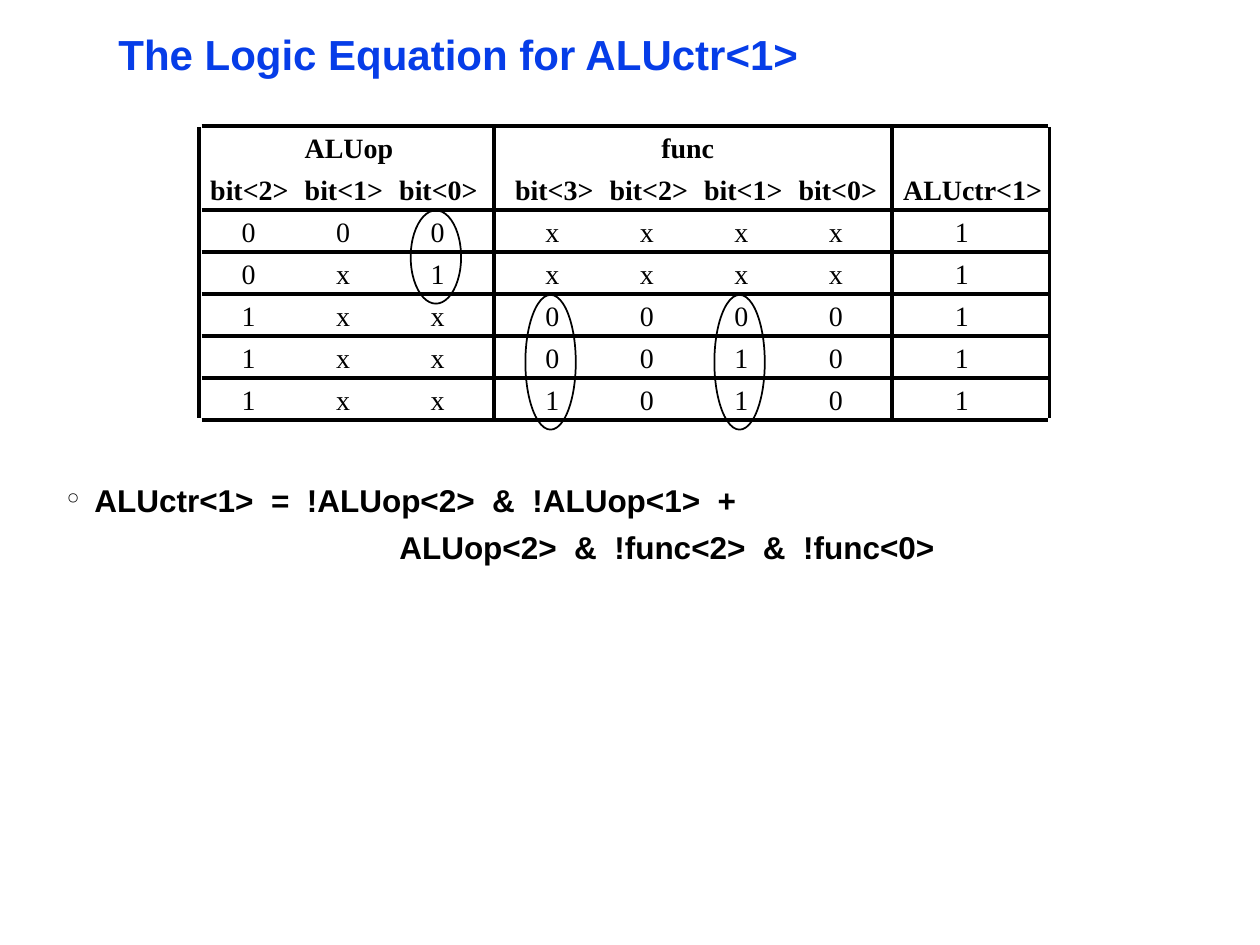
"""Build the slide on the logic equation for ALUctr<1>."""
import dataclasses

import lxml.etree
import pptx
import pptx.dml.color
import pptx.enum.shapes
import pptx.oxml.ns
import pptx.shapes.shapetree
import pptx.text.text
import pptx.util

Inches = pptx.util.Inches
Pt = pptx.util.Pt
Shapes = pptx.shapes.shapetree.SlideShapes

BLACK = pptx.dml.color.RGBColor(0x00, 0x00, 0x00)
BLUE = pptx.dml.color.RGBColor(0x06, 0x3D, 0xE8)
SANS = "Arial"
SERIF = "Times New Roman"

ROW_HEIGHT = 1 / 3
BIT_PITCH = 0.75
RULE_TOP = 1.0
LABEL_TOP = 0.99
ALUOP_LEFT = 1.57
FUNC_LEFT = 3.99


@dataclasses.dataclass(frozen=True)
class Column:
    heading: str
    left: float
    width: float
    value_left: float


@dataclasses.dataclass(frozen=True)
class Ring:
    left: float
    top: float
    height: float


COLUMNS = [
    *(Column(f"bit<{2 - i}>", ALUOP_LEFT + i * BIT_PITCH, 0.82,
             ALUOP_LEFT + 0.25 + i * BIT_PITCH) for i in range(3)),
    *(Column(f"bit<{3 - i}>", FUNC_LEFT + i * BIT_PITCH, 0.82,
             FUNC_LEFT + 0.24 + i * BIT_PITCH) for i in range(4)),
    Column("ALUctr<1>", 7.07, 1.3, 7.48),
]
TRUTH_ROWS = ["000xxxx1", "0x1xxxx1", "1xx00001", "1xx00101", "1xx10101"]
RULED_ROWS = [0, 2, 3, 4, 5, 6, 7]
DIVIDERS = [1.58, 3.92, 7.08, 8.33]
RINGS = [Ring(3.26, 1.67, 0.74), Ring(4.17, 2.34, 1.07), Ring(5.67, 2.34, 1.07)]


def add_frame(shapes: Shapes, left: float, top: float, width: float, height: float,
              side: float, edge: float, wrap: bool) -> pptx.text.text.TextFrame:
    """Add an empty text frame with the given insets."""
    frame = shapes.add_textbox(Inches(left), Inches(top), Inches(width), Inches(height)).text_frame
    frame.word_wrap = wrap
    frame.margin_left = frame.margin_right = Inches(side)
    frame.margin_top = frame.margin_bottom = Inches(edge)
    return frame


def write(paragraph, words: str, size: float, face: str, bold: bool,
          color: pptx.dml.color.RGBColor = BLACK) -> None:
    """Append one formatted run."""
    run = paragraph.add_run()
    run.text = words
    run.font.size = Pt(size)
    run.font.name = face
    run.font.bold = bold
    run.font.color.rgb = color


def add_label(shapes: Shapes, words: str, left: float, row: int, width: float, bold: bool) -> None:
    """Place a label in a row of the truth table."""
    frame = add_frame(shapes, left, LABEL_TOP + row * ROW_HEIGHT, width, 0.36, 0.1, 0.05, False)
    write(frame.paragraphs[0], words, 16, SERIF, bold)


def add_rule(shapes: Shapes, x1: float, y1: float, x2: float, y2: float) -> None:
    """Draw a straight table rule."""
    rule = shapes.add_connector(pptx.enum.shapes.MSO_CONNECTOR.STRAIGHT,
                                Inches(x1), Inches(y1), Inches(x2), Inches(y2))
    rule.line.color.rgb = BLACK
    rule.line.width = Pt(2)
    lxml.etree.SubElement(rule._element.spPr, pptx.oxml.ns.qn("a:effectLst"))


def add_ring(shapes: Shapes, ring: Ring) -> None:
    """Circle the differing bits of a column."""
    oval = shapes.add_shape(pptx.enum.shapes.MSO_SHAPE.OVAL, Inches(ring.left),
                            Inches(ring.top), Inches(0.4), Inches(ring.height))
    oval.shadow.inherit = False
    oval.fill.background()
    oval.line.color.rgb = BLACK
    oval.line.width = Pt(1)


def add_truth_table(shapes: Shapes) -> None:
    """Draw the headings, values, rules and rings."""
    add_label(shapes, "ALUop", 2.32, 0, 0.9, True)
    add_label(shapes, "func", 5.15, 0, 0.62, True)
    for index, column in enumerate(COLUMNS):
        add_label(shapes, column.heading, column.left, 1, column.width, True)
        for row, values in enumerate(TRUTH_ROWS, start=2):
            add_label(shapes, values[index], column.value_left, row, 0.31, False)
    for row in RULED_ROWS:
        y = RULE_TOP + row * ROW_HEIGHT
        add_rule(shapes, 1.6, y, 8.32, y)
    for x in DIVIDERS:
        add_rule(shapes, x, 1.01, x, 3.32)
    for ring in RINGS:
        add_ring(shapes, ring)


def add_equation(shapes: Shapes) -> None:
    """Write the bulleted equation and its indented second line."""
    qn = pptx.oxml.ns.qn
    frame = add_frame(shapes, 0.46, 3.83, 8.96, 0.69, 0.07, 0.03, True)
    first = frame.paragraphs[0]
    layout = first._p.get_or_add_pPr()
    layout.set("marL", str(Inches(0.22)))
    layout.set("indent", str(Inches(-0.22)))
    tint = lxml.etree.SubElement(layout, qn("a:buClr"))
    lxml.etree.SubElement(tint, qn("a:srgbClr"), val=str(BLACK))
    lxml.etree.SubElement(layout, qn("a:buChar"), char="°")
    first.line_spacing = 0.85
    write(first, "ALUctr<1>  =  !ALUop<2>  &  !ALUop<1>  +", 18, SANS, True)

    second = frame.add_paragraph()
    second._p.get_or_add_pPr().set("marL", str(Inches(2.64)))
    second.line_spacing = 0.85
    second.space_before = Pt(9)
    write(second, "ALUop<2>  &  !func<2>  &  !func<0>", 18, SANS, True)


def main() -> None:
    """Assemble and save the slide."""
    deck = pptx.Presentation()
    deck.slide_width = Inches(10)
    deck.slide_height = Inches(7.5)
    shapes = deck.slides.add_slide(deck.slide_layouts[6]).shapes
    heading = add_frame(shapes, 0.87, 0.25, 5.54, 0.75, 0.07, 0.03, False).paragraphs[0]
    heading.line_spacing = 0.87
    write(heading, "The Logic Equation for ALUctr<1>", 24, SANS, True, BLUE)
    add_truth_table(shapes)
    add_equation(shapes)
    deck.save("out.pptx")


if __name__ == "__main__":
    main()
